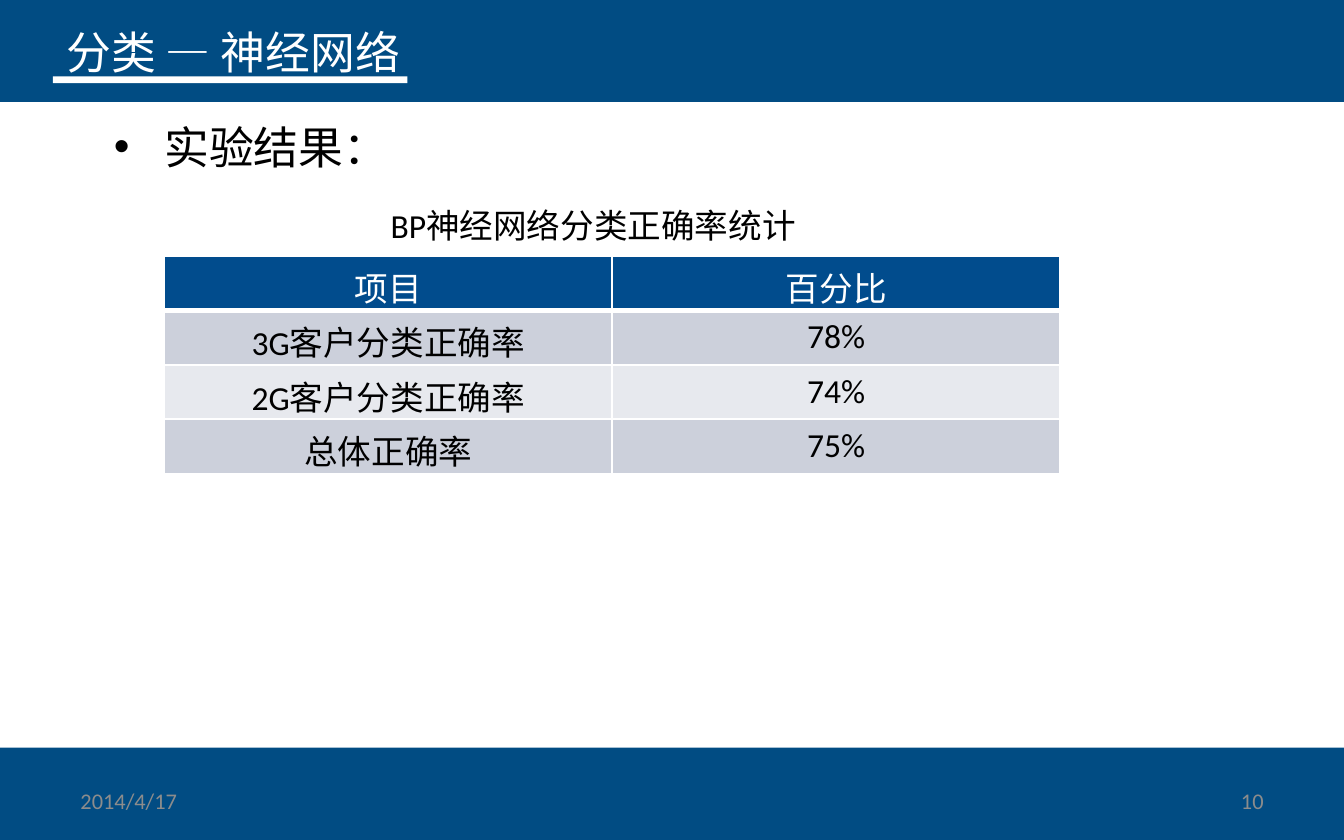
import dataclasses

import lxml.etree
import pptx
import pptx.dml.color
import pptx.enum.shapes
import pptx.enum.text
import pptx.oxml.ns
import pptx.util

Pt = pptx.util.Pt
ALIGN = pptx.enum.text.PP_ALIGN
ANCHOR = pptx.enum.text.MSO_ANCHOR
qn = pptx.oxml.ns.qn


@dataclasses.dataclass(frozen=True)
class Theme:
    """Colours, fonts and type sizes of the deck."""
    navy: str = "014C83"
    header: str = "014C8D"
    bands: tuple = ("CCD0DB", "E7E9EE")
    white: str = "FFFFFF"
    black: str = "000000"
    grey: str = "8C8C8C"
    title_font: str = "Arial Narrow"
    font: str = "Calibri"
    large: int = 24
    medium: int = 18
    small: int = 12


T = Theme()


def rgb(value):
    """Turn a hex string into a colour."""
    return pptx.dml.color.RGBColor.from_string(value)


def write(tf, text, size, color, font=T.font, align=ALIGN.LEFT):
    """Set and format the one paragraph of a text frame."""
    tf.text = text
    p = tf.paragraphs[0]
    p.alignment = align
    f = p.runs[0].font
    f.size, f.name, f.color.rgb = Pt(size), font, rgb(color)
    return p


def add_rect(s, x, y, w, h):
    """Add a plain white rectangle."""
    sp = s.shapes.add_shape(pptx.enum.shapes.MSO_SHAPE.RECTANGLE, Pt(x), Pt(y), Pt(w), Pt(h))
    sp.shadow.inherit = False
    sp.fill.solid()
    sp.fill.fore_color.rgb = rgb(T.white)
    sp.line.fill.background()


def add_text(s, x, y, w, h, text, size, color, align=ALIGN.LEFT, anchor=ANCHOR.TOP):
    """Add a wrapped text box and return its paragraph."""
    tf = s.shapes.add_textbox(Pt(x), Pt(y), Pt(w), Pt(h)).text_frame
    tf.word_wrap = True
    tf.vertical_anchor = anchor
    return write(tf, text, size, color, align=align)


def add_title(s, x, y, w, h, text):
    """Place the title with its underline bar."""
    sp = s.shapes.title
    sp.left, sp.top, sp.width, sp.height = Pt(x), Pt(y), Pt(w), Pt(h)
    tf = sp.text_frame
    tf.vertical_anchor = ANCHOR.TOP
    tf.auto_size = pptx.enum.text.MSO_AUTO_SIZE.NONE
    write(tf, text, T.large, T.white, T.title_font)
    add_rect(s, x, y + 31.5, 190, 3.6)


def add_bullet(s, x, y, w, h, text):
    """Add a bulleted line with a hanging indent."""
    p = add_text(s, x, y, w, h, text, T.large, T.black)
    pPr = p._p.get_or_add_pPr()
    pPr.set("marL", str(Pt(27)))
    pPr.set("indent", str(Pt(-27)))
    lxml.etree.SubElement(pPr, qn("a:buFont")).set("typeface", "Arial")
    lxml.etree.SubElement(pPr, qn("a:buChar")).set("char", "•")


def add_borders(cell, bottom):
    """Draw white borders on the four sides of a cell."""
    tcPr = cell._tc.get_or_add_tcPr()
    for side, width in (("L", 1), ("R", 1), ("T", 1), ("B", bottom)):
        ln = lxml.etree.SubElement(tcPr, qn(f"a:ln{side}"), w=str(Pt(width)))
        fill = lxml.etree.SubElement(ln, qn("a:solidFill"))
        lxml.etree.SubElement(fill, qn("a:srgbClr"), val=T.white)


def add_results(s, x, y, w, h, caption, rows):
    """Add the captioned results table."""
    caption_h = 31
    add_text(s, x + 85, y, 289.5, 29, caption, T.medium, T.black, ALIGN.CENTER)
    table = s.shapes.add_table(len(rows), len(rows[0]), Pt(x), Pt(y + caption_h),
                               Pt(w), Pt(h - caption_h)).table
    for i, row in enumerate(rows):
        for j, text in enumerate(row):
            cell = table.cell(i, j)
            add_borders(cell, 1 if i else 3)
            cell.fill.solid()
            cell.fill.fore_color.rgb = rgb(T.bands[(i - 1) % 2] if i else T.header)
            write(cell.text_frame, text, T.medium, T.black if i else T.white,
                  align=ALIGN.CENTER)


def add_footer(s, x, y, w, h, date, number):
    """Add the date at the left and the page number at the right."""
    item_w = 168
    for left, text, align in ((x, date, ALIGN.LEFT), (x + w - item_w, number, ALIGN.RIGHT)):
        add_text(s, left, y, item_w, h, text, T.small, T.grey, align, ANCHOR.MIDDLE)


def main():
    """Build and save the slide."""
    prs = pptx.Presentation()
    prs.slide_width, prs.slide_height = Pt(720), Pt(450)
    s = prs.slides.add_slide(prs.slide_layouts[5])
    s.background.fill.solid()
    s.background.fill.fore_color.rgb = rgb(T.navy)
    add_rect(s, 0, 54.7, 720, 345.8)
    add_title(s, 28.3, 9.4, 241, 36, "分类 — 神经网络")
    add_bullet(s, 54, 60.5, 562, 36, "实验结果：")
    add_results(s, 88, 106, 480, 147.8, "BP神经网络分类正确率统计", [
        ("项目", "百分比"),
        ("3G客户分类正确率", "78%"),
        ("2G客户分类正确率", "74%"),
        ("总体正确率", "75%"),
    ])
    add_footer(s, 36, 417, 648, 24, "2014/4/17", "10")
    prs.save("out.pptx")


if __name__ == "__main__":
    main()
